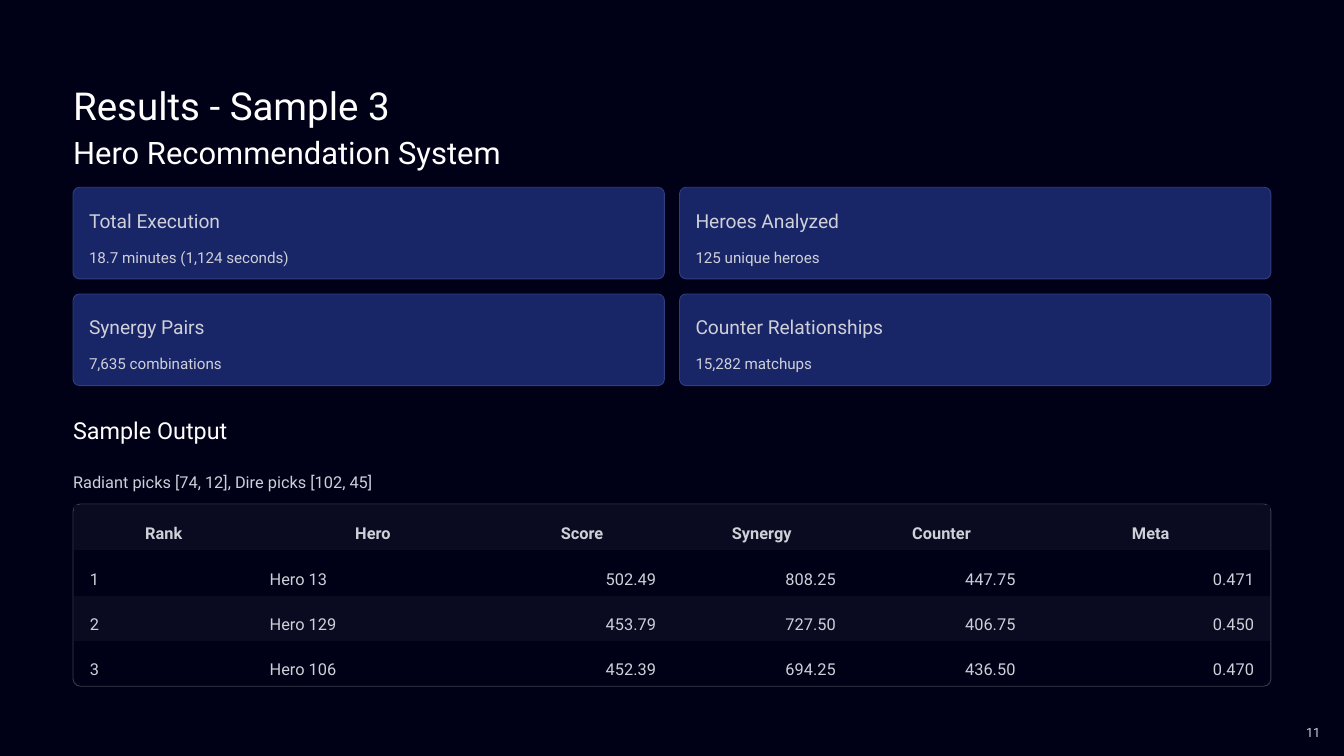
from dataclasses import dataclass
from pptx import Presentation
from pptx.dml.color import RGBColor
from pptx.enum import shapes, text
from pptx.oxml.ns import qn
from pptx.util import Inches, Pt

LEFT, CENTER, RIGHT = (text.PP_ALIGN.LEFT, text.PP_ALIGN.CENTER,
                       text.PP_ALIGN.RIGHT)


@dataclass(frozen=True)
class Theme:
    font: str = "Roboto"
    background: str = "000017"
    heading: str = "FFFFFF"
    body: str = "CFD0D8"
    card: str = "182567"
    card_line: str = "313E80"
    frame_line: str = "3D3D4E"
    stripe: str = "0A0A20"
    title_size: float = 33
    subtitle_size: float = 26.5
    section_size: float = 20
    card_title_size: float = 16.5
    card_text_size: float = 13
    text_size: float = 14
    number_size: float = 11


class SlideBuilder:
    NO_STYLE = "{2D5ABB26-0587-4C30-8999-92F81FD0307C}"

    def __init__(self, slide, theme):
        self.slide = slide
        self.theme = theme
        fill = slide.background.fill
        fill.solid()
        fill.fore_color.rgb = RGBColor.from_string(theme.background)

    def style_text(self, tf, size, color, spacing, align=LEFT, bold=False):
        for p in tf.paragraphs:
            p.alignment = align
            p.line_spacing = spacing
            p.space_before = Pt(0)
            for r in p.runs:
                r.font.name = self.theme.font
                r.font.size = Pt(size)
                r.font.bold = bold
                r.font.color.rgb = RGBColor.from_string(color)

    def fill_text(self, sp, words, box, size, color, spacing, align=LEFT):
        """Place a text shape without insets and fill it."""
        sp.left, sp.top, sp.width, sp.height = map(Inches, box)
        tf = sp.text_frame
        tf.text = words
        tf.word_wrap = True
        tf.auto_size = text.MSO_AUTO_SIZE.NONE
        tf.vertical_anchor = text.MSO_ANCHOR.TOP
        tf.margin_left = tf.margin_right = tf.margin_top = tf.margin_bottom = 0
        self.style_text(tf, size, color, spacing, align)

    def label(self, words, box, size, color, spacing, align=LEFT):
        sp = self.slide.shapes.add_textbox(*map(Inches, box))
        self.fill_text(sp, words, box, size, color, spacing, align)

    def panel(self, box, radius, line, fill=None):
        sp = self.slide.shapes.add_shape(
            shapes.MSO_SHAPE.ROUNDED_RECTANGLE, *map(Inches, box))
        sp.adjustments[0] = radius
        sp.shadow.inherit = False
        if fill:
            sp.fill.solid()
            sp.fill.fore_color.rgb = RGBColor.from_string(fill)
        else:
            sp.fill.background()
        sp.line.color.rgb = RGBColor.from_string(line)
        sp.line.width = Pt(0.75)

    def card(self, left, top, width, height, title, detail):
        t = self.theme
        self.panel((left, top, width, height), 0.07, t.card_line, t.card)
        self.label(title, (left + 0.19, top + 0.19, 6.65, 0.29),
                   t.card_title_size, t.body, 1.24)
        self.label(detail, (left + 0.19, top + 0.59, 6.65, 0.3),
                   t.card_text_size, t.body, 1.62)

    def table(self, left, top, widths, row_height, rows, aligns):
        """Add a table whose first row is the header, striped on every other row."""
        frame = self.slide.shapes.add_table(
            len(rows), len(widths), Inches(left), Inches(top),
            Inches(sum(widths)), Inches(row_height * len(rows)))
        frame.element.find(".//" + qn("a:tableStyleId")).text = self.NO_STYLE
        table = frame.table
        table.first_row = table.horz_banding = False
        for column, width in zip(table.columns, widths):
            column.width = Inches(width)
        for i, row in enumerate(rows):
            table.rows[i].height = Inches(row_height)
            for j, words in enumerate(row):
                self.cell(table.cell(i, j), words, i % 2 == 0,
                          CENTER if i == 0 else aligns[j], i == 0)

    def cell(self, cell, words, striped, align, bold):
        t = self.theme
        cell.text = words
        cell.margin_left = cell.margin_right = Inches(0.19)
        cell.margin_top, cell.margin_bottom = Inches(0.12), 0
        if striped:
            cell.fill.solid()
            cell.fill.fore_color.rgb = RGBColor.from_string(t.stripe)
        else:
            cell.fill.background()
        self.style_text(cell.text_frame, t.text_size, t.body, 1.5, align, bold)


CARDS = [
    ("Total Execution", "18.7 minutes (1,124 seconds)"),
    ("Heroes Analyzed", "125 unique heroes"),
    ("Synergy Pairs", "7,635 combinations"),
    ("Counter Relationships", "15,282 matchups"),
]
RECOMMENDATIONS = [
    ("Rank", "Hero", "Score", "Synergy", "Counter", "Meta"),
    ("1", "Hero 13", "502.49", "808.25", "447.75", "0.471"),
    ("2", "Hero 129", "453.79", "727.50", "406.75", "0.450"),
    ("3", "Hero 106", "452.39", "694.25", "436.50", "0.470"),
]


def main():
    prs = Presentation()
    prs.slide_width, prs.slide_height = Inches(16), Inches(9)
    t = Theme()
    s = SlideBuilder(prs.slides.add_slide(prs.slide_layouts[0]), t)
    margin, width = 0.87, 14.26

    title, subtitle = s.slide.placeholders
    s.fill_text(title, "Results - Sample 3", (margin, 0.83, width, 0.58),
                t.title_size, t.heading, 1.26)
    s.fill_text(subtitle, "Hero Recommendation System",
                (margin, 1.48, width, 0.47), t.subtitle_size, t.heading, 1.25)

    card_w, card_h, gap = 7.04, 1.09, 0.18
    for i, (name, detail) in enumerate(CARDS):
        row, col = divmod(i, 2)
        s.card(margin + col * (card_w + gap), 2.23 + row * (card_h + gap),
               card_w, card_h, name, detail)

    s.label("Sample Output", (margin, 4.87, width, 0.35),
            t.section_size, t.heading, 1.25)
    s.label("Radiant picks [74, 12], Dire picks [102, 45]",
            (margin, 5.5, width, 0.3), t.text_size, t.body, 1.5)
    s.panel((margin, 6, width, 2.17), 0.04, t.frame_line)
    s.table(0.88, 6.01, [2.14, 2.84, 2.14, 2.14, 2.14, 2.84], 0.54,
            RECOMMENDATIONS, [LEFT] * 2 + [RIGHT] * 4)
    s.label("11", (14.3, 8.34, 1.42, 0.4), t.number_size, t.body, 2.59, RIGHT)
    prs.save("out.pptx")


if __name__ == "__main__":
    main()
